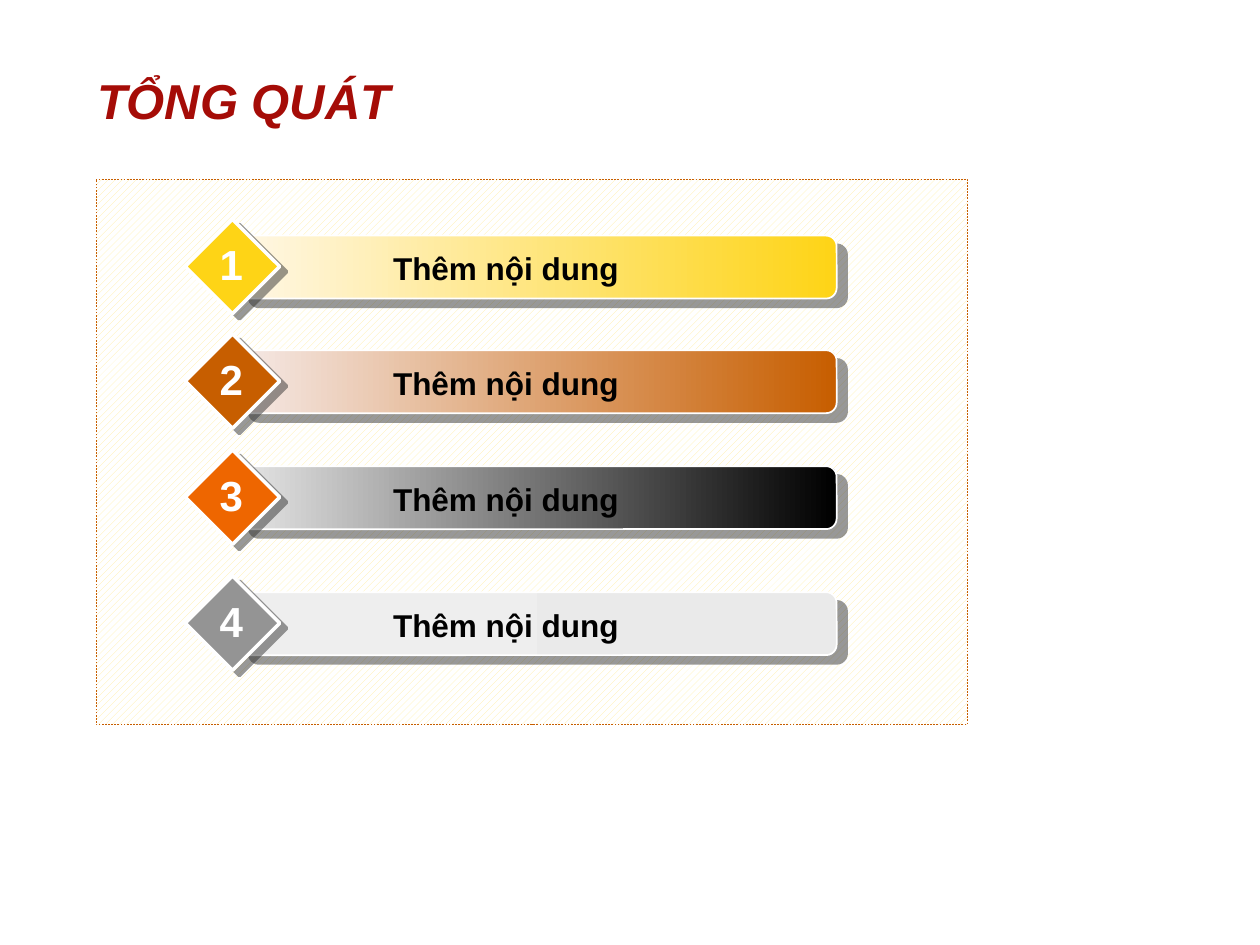
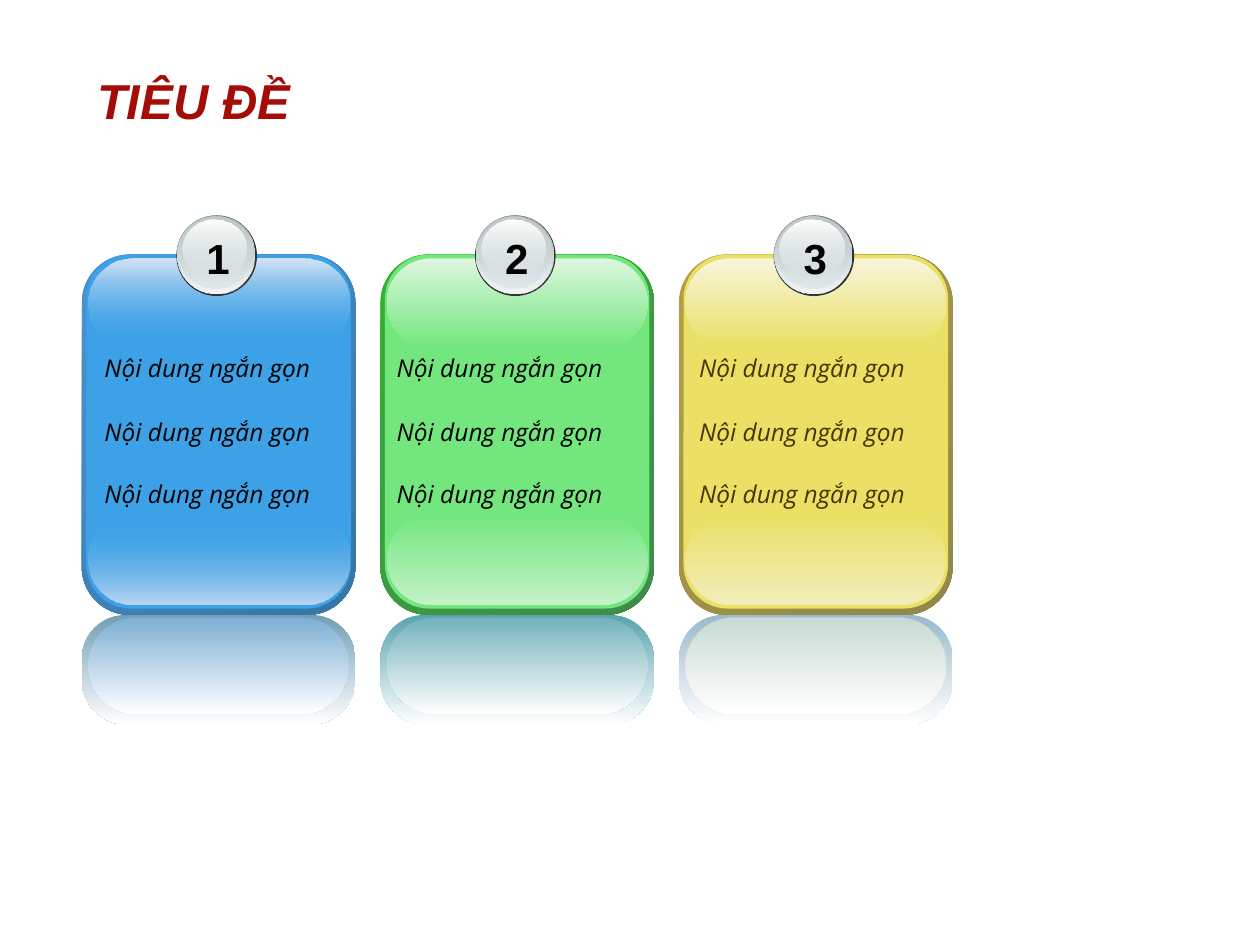
import pptx
import pptx.util
import pptx.dml.color
import pptx.enum.dml
import pptx.enum.shapes
import pptx.enum.text
import pptx.oxml
import pptx.oxml.ns
import lxml.etree

SHAPE = pptx.enum.shapes.MSO_SHAPE
ALIGN = pptx.enum.text.PP_ALIGN
qn = pptx.oxml.ns.qn

COLORS = {
    "title": "A50C07", "ink": "000000", "paper": "FFFFFF", "shadow": "333333",
    "stripe": "FFEEA2", "amber": "FED416", "rust": "C75E00", "orange": "EE6600",
    "grey": "949494", "brown": "4E3401",
    "rim": "99A1A2", "steel": "D6E1E2", "pearl": "F2F5F5", "ash": "C1CBCC",
}
COLUMNS, ROWS = 100, 75


class Deck:
    def __init__(self):
        self.prs = pptx.Presentation()
        self.prs.slide_width = pptx.util.Inches(10)
        self.prs.slide_height = pptx.util.Inches(7.5)
        self.s = None
        self.shapes = None

    def color(self, name):
        return pptx.dml.color.RGBColor.from_string(COLORS.get(name, name))

    def box(self, col, row, cols, rows):
        cw = self.prs.slide_width / COLUMNS
        rh = self.prs.slide_height / ROWS
        return [int(n) for n in (col * cw, row * rh, cols * cw, rows * rh)]

    def slide(self, title, cols):
        self.s = self.prs.slides.add_slide(self.prs.slide_layouts[5])
        self.ungroup()
        sp = self.s.shapes.title
        sp.left, sp.top, sp.width, sp.height = self.box(6.7, 5.1, cols, 5.7)
        self.add_words(sp, title, 28, "title", bold=True, italic=True, wrap=False)

    def group(self):
        self.shapes = self.s.shapes.add_group_shape().shapes

    def ungroup(self):
        self.shapes = self.s.shapes

    def add_words(self, sp, text, size, color, font="Arial", bold=False,
                  italic=False, align=ALIGN.LEFT, wrap=True):
        tf = sp.text_frame
        tf.word_wrap = wrap
        tf.auto_size = pptx.enum.text.MSO_AUTO_SIZE.SHAPE_TO_FIT_TEXT
        tf.vertical_anchor = pptx.enum.text.MSO_ANCHOR.TOP
        p = tf.paragraphs[0]
        p.alignment = align
        r = p.add_run()
        r.text = text
        r.font.name = font
        r.font.size = pptx.util.Pt(size)
        r.font.bold = bold
        r.font.italic = italic
        r.font.color.rgb = self.color(color)

    def text(self, at, text, size, color, **style):
        self.add_words(self.shapes.add_textbox(*self.box(*at)), text, size, color, **style)

    def shape(self, kind, at, fill=None, line=None, adj=None):
        sp = self.shapes.add_shape(kind, *self.box(*at))
        sp.shadow.inherit = False
        if adj is not None:
            sp.adjustments[0] = adj
        if fill:
            sp.fill.solid()
            sp.fill.fore_color.rgb = self.color(fill)
        if line:
            sp.line.color.rgb = self.color(line[0])
            sp.line.width = pptx.util.Pt(line[1])
        else:
            sp.line.fill.background()
        return sp

    def gradient(self, kind, at, start, end, angle=90, alphas=(100, 100), **style):
        sp = self.shape(kind, at, **style)
        sp.fill.gradient()
        sp.fill.gradient_angle = (360 - angle) % 360
        for stop, name, position in zip(sp.fill.gradient_stops, (start, end), (0, 1)):
            stop.color.rgb = self.color(name)
            stop.position = position
        clrs = sp._element.spPr.findall(".//" + qn("a:gs") + "/" + qn("a:srgbClr"))
        for clr, alpha in zip(clrs, alphas):
            if alpha < 100:
                lxml.etree.SubElement(clr, qn("a:alpha"), val=str(alpha * 1000))
        return sp

    def cast_shadow(self, sp, distance, angle):
        effects = sp._element.spPr.find(qn("a:effectLst"))
        shadow = lxml.etree.SubElement(
            effects, qn("a:outerShdw"), dist=str(int(pptx.util.Pt(distance))),
            dir=str(angle * 60000), algn="ctr", rotWithShape="0")
        clr = lxml.etree.SubElement(shadow, qn("a:srgbClr"), val=COLORS["shadow"])
        lxml.etree.SubElement(clr, qn("a:alpha"), val="50000")

    def panel(self, at):
        sp = self.shape(SHAPE.RECTANGLE, at, line=("rust", 0.25))
        sp.line.dash_style = pptx.enum.dml.MSO_LINE.DASH
        sp.fill.patterned()
        sp.fill.pattern = pptx.enum.dml.MSO_PATTERN.WIDE_UPWARD_DIAGONAL
        sp.fill.fore_color.rgb = self.color("stripe")
        sp.fill.back_color.rgb = self.color("paper")

    def agenda_row(self, number, top, pale, full, marker):
        self.group()
        bar = self.gradient(SHAPE.ROUNDED_RECTANGLE, (18.9, top + 1.3, 47.5, 5),
                            pale, full, angle=0, line=("paper", 1), adj=0.167)
        self.cast_shadow(bar, 7.8, 40)
        diamond = self.shape(SHAPE.DIAMOND, (14.7, top, 7.5, 7.5), marker, ("paper", 2))
        self.cast_shadow(diamond, 5, 37)
        self.text((21.4, top + 1.9, 37.5, 4), "Thêm nội dung", 18, "ink",
                  bold=True, align=ALIGN.CENTER)
        self.text((16.4, top + 1.05, 3.9, 5), str(number), 24, "paper",
                  bold=True, align=ALIGN.CENTER, wrap=False)
        self.ungroup()

    def badge(self, number, left):
        self.group()
        self.shape(SHAPE.OVAL, (left, 17.1, 6.4, 6.4), "shadow")
        rings = [
            (0.05, 17.1, 6.2, 6.2, "rim", "steel", (100, 100)),
            (0.1, 17.2, 6.1, 6.1, "steel", "pearl", (0, 100)),
            (0.2, 17.2, 5.8, 5.7, "ash", "steel", (100, 48)),
            (0.5, 17.4, 5.1, 4.6, "paper", "steel", (100, 38)),
        ]
        for dx, top, cols, rows, start, end, alphas in rings:
            self.gradient(SHAPE.OVAL, (left + dx, top, cols, rows), start, end,
                          alphas=alphas)
        self.ungroup()
        self.text((left + 1.4, 18, 3.5, 4.6), str(number), 24, "ink",
                  bold=True, align=ALIGN.CENTER, wrap=False)

    def card(self, number, left, edge, face, gloss, mirror, fade, text_left, ink):
        rounded = SHAPE.ROUNDED_RECTANGLE
        self.gradient(rounded, (left, 20.2, 21.7, 28.6), *edge, angle=45, adj=0.175)
        self.shape(rounded, (left + 0.35, 20.2, 21, 28.1), face, adj=0.167)
        self.gradient(rounded, (left + 0.5, 40.9, 20.7, 7.1), face, gloss[1],
                      alphas=(fade, 100), adj=0.5)
        self.gradient(rounded, (left + 0.5, 20.5, 20.7, 7.1), gloss[0], face,
                      alphas=(100, fade), adj=0.5)
        self.gradient(rounded, (left, 48.8, 21.7, 8.7), mirror[0], "paper", adj=0.404)
        self.gradient(rounded, (left + 0.5, 49, 20.7, 7.7), mirror[1], "paper", adj=0.5)
        self.badge(number, left + 7.5)
        for top in (27.5, 32.6, 37.5):
            self.text((text_left, top, 20.6, 3.4), "Nội dung ngắn gọn", 14, ink,
                      font="Open Sans", italic=True)


AGENDA = [
    (17.4, "FFF7E6", "amber", "amber"),
    (26.5, "F5E9E6", "rust", "rust"),
    (35.7, "E6E6E6", "ink", "orange"),
    (45.7, "EEEEEE", "EAEAEA", "grey"),
]
CARDS = [
    (("4E91D4", "3477A4"), "3CA1E6", ("D7E5F7", "BDD6F3"),
     ("729EB4", "7DAFD4"), 0, 7.3, "ink"),
    (("34B034", "3F8B4A"), "73E77E", ("DDF7DF", "C3F2C7"),
     ("58A4AE", "72B2BB"), 100, 30.5, "ink"),
    (("B59F43", "8F8849"), "E9E065", ("F8F5DB", "F3EEBB"),
     ("99BACC", "C8DAD4"), 100, 54.5, "brown"),
]

deck = Deck()

deck.slide("TỔNG QUÁT", 25.6)
deck.panel((7.6, 14.2, 69.2, 43.3))
for number, row in enumerate(AGENDA, 1):
    deck.agenda_row(number, *row)

deck.slide("TIÊU ĐỀ", 17.5)
for number, card in enumerate(CARDS, 1):
    deck.card(number, 6.5 + 23.7 * (number - 1), *card)

deck.prs.save("out.pptx")
